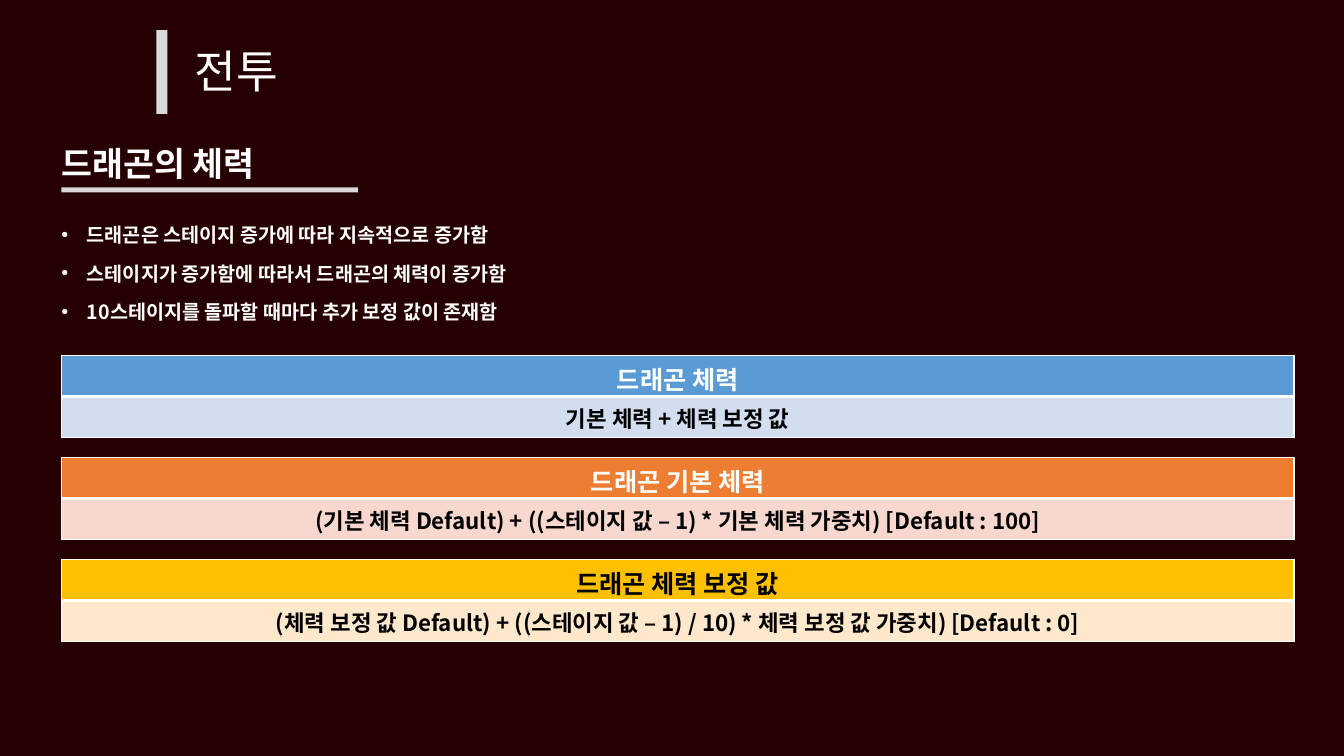
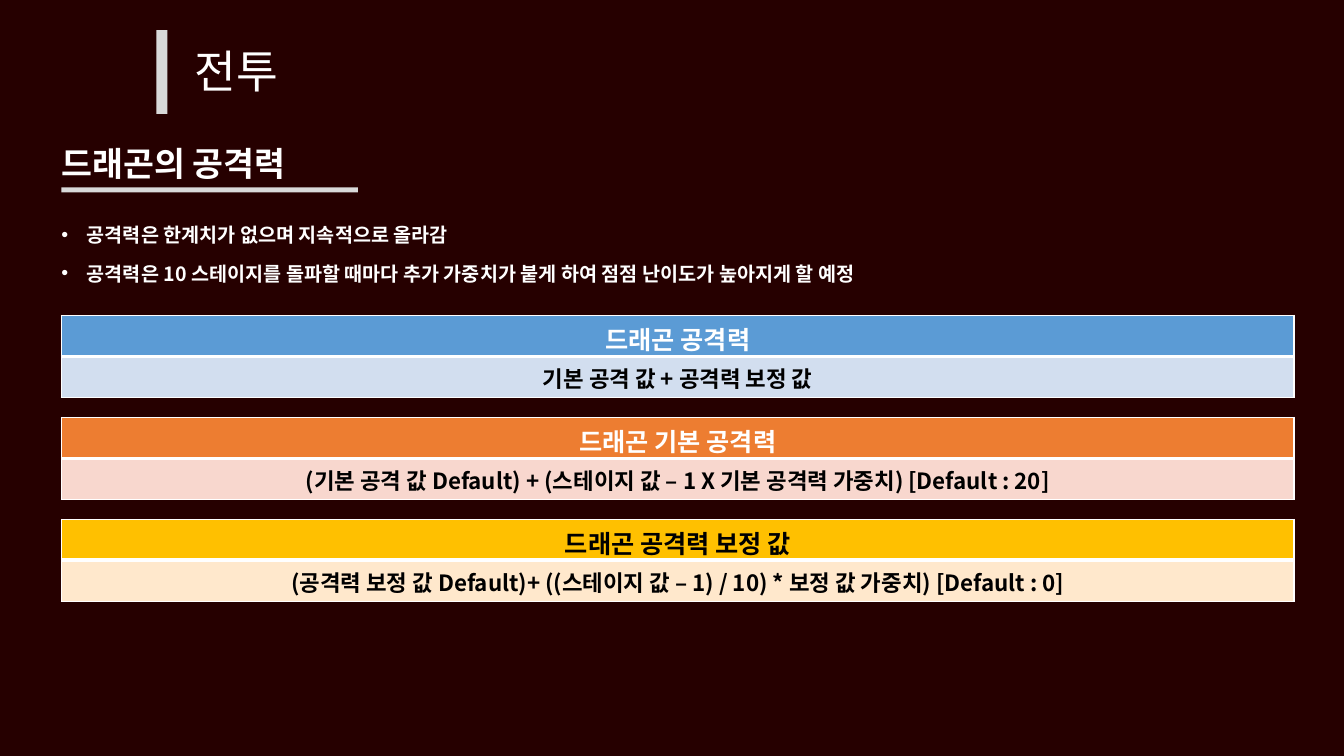
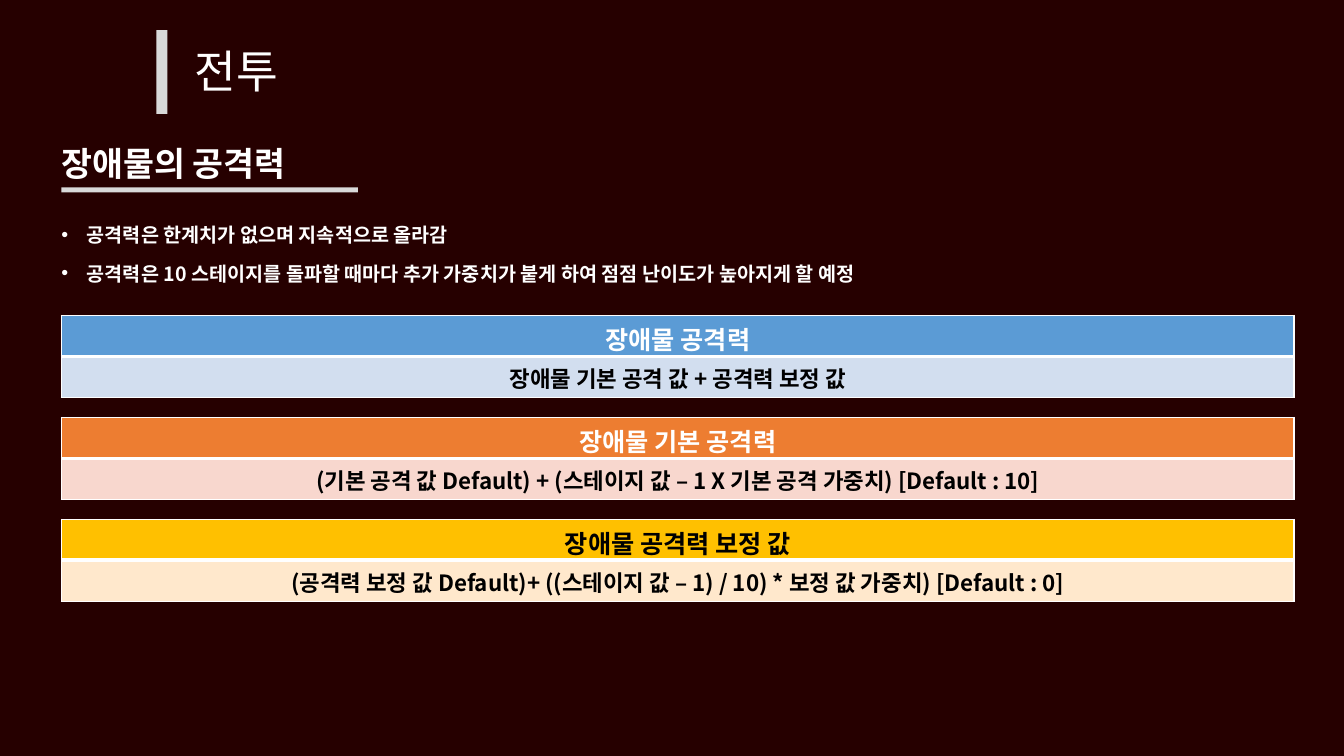
"""Build three slides on the combat formulas of a game."""
from lxml import etree
from pptx import Presentation
from pptx import util as u
from pptx.dml.color import RGBColor
from pptx.enum import shapes, text
from pptx.oxml.ns import qn

COLORS = {
    "background": "260000", "accent": "D9D9D9", "white": "FFFFFF", "black": "000000",
    "blue": "5B9BD5", "blue_tint": "D2DEEF",
    "orange": "ED7D31", "orange_tint": "F8D7CE",
    "gold": "FFC000", "gold_tint": "FFE8CC",
}
FORMULA_STYLES = [("blue", "white"), ("orange", "white"), ("gold", "black")]
FONT = "Noto Sans CJK KR"
LEFT, WIDTH = 1.55, 31.06
FORMULA_STEP = 2.57
ROW_HEIGHT = 1.03


class Deck:
    def __init__(self):
        self.prs = Presentation()
        self.prs.slide_width, self.prs.slide_height = u.Cm(33.87), u.Cm(19.05)
        self.slide = None

    def color(self, name):
        return RGBColor.from_string(COLORS[name])

    def paint(self, fill, name):
        fill.solid()
        fill.fore_color.rgb = self.color(name)

    def add_slide(self, title, heading):
        self.slide = self.prs.slides.add_slide(self.prs.slide_layouts[6])
        self.paint(self.slide.background.fill, "background")
        self.bar(3.94, 0.76, 0.28, 2.11)
        self.bar(LEFT, 4.72, 7.47, 0.13)
        self.line(title, 4.65, 1.09, 10.87, 1.55, 32.4, False, text.MSO_ANCHOR.MIDDLE)
        self.line(heading, 1.3, 3.58, 14.43, 1.27, 24, True, text.MSO_ANCHOR.TOP)

    def bar(self, left, top, width, height):
        bar = self.slide.shapes.add_shape(
            shapes.MSO_SHAPE.RECTANGLE, *map(u.Cm, (left, top, width, height)))
        bar.shadow.inherit = False
        self.paint(bar.fill, "accent")
        bar.line.fill.background()

    def frame(self, left, top, width, height):
        frame = self.slide.shapes.add_textbox(
            *map(u.Cm, (left, top, width, height))).text_frame
        frame.word_wrap = True
        return frame

    def add_words(self, paragraph, words, size, bold=True, color="white"):
        run = paragraph.add_run()
        run.text = words
        run.font.name = FONT
        run.font.size = u.Pt(size)
        run.font.bold = bold
        run.font.color.rgb = self.color(color)
        latin = run.font._element.find(qn("a:latin"))
        east_asian = etree.Element(qn("a:ea"), typeface=FONT)
        latin.addnext(east_asian)

    def line(self, words, left, top, width, height, size, bold, anchor):
        frame = self.frame(left, top, width, height)
        frame.vertical_anchor = anchor
        paragraph = frame.paragraphs[0]
        paragraph.line_spacing = 0.9
        self.add_words(paragraph, words, size, bold)

    def bullets(self, points):
        frame = self.frame(1.3, 5.59, 31.34, 1.3 * len(points))
        for index, point in enumerate(points):
            paragraph = frame.add_paragraph() if index else frame.paragraphs[0]
            paragraph.line_spacing = 0.82
            if index:
                paragraph.space_before = u.Pt(14)
            props = paragraph._p.get_or_add_pPr()
            props.set("marL", str(u.Cm(0.64)))
            props.set("indent", str(-u.Cm(0.64)))
            etree.SubElement(props, qn("a:buFont"), typeface="Arial")
            etree.SubElement(props, qn("a:buChar"), char="•")
            self.add_words(paragraph, point, 14)

    def borders(self, cell, widths):
        props = cell._tc.get_or_add_tcPr()
        for index, (side, width) in enumerate(widths.items()):
            edge = etree.Element(qn("a:ln" + side), w=str(u.Pt(width)))
            fill = etree.SubElement(edge, qn("a:solidFill"))
            etree.SubElement(fill, qn("a:srgbClr"), val=COLORS["white"])
            props.insert(index, edge)

    def formula(self, top, name, expression, hue, name_color):
        table = self.slide.shapes.add_table(
            2, 1, *map(u.Cm, (LEFT, top, WIDTH, 2 * ROW_HEIGHT))).table
        table.horz_banding = False
        rows = [
            (name, 18, hue, name_color, {"L": 1, "R": 1, "T": 1, "B": 3}),
            (expression, 16, hue + "_tint", "black", {"L": 1, "R": 1, "T": 3, "B": 1}),
        ]
        for index, (words, size, fill, color, widths) in enumerate(rows):
            cell = table.cell(index, 0)
            self.paint(cell.fill, fill)
            self.borders(cell, widths)
            paragraph = cell.text_frame.paragraphs[0]
            paragraph.alignment = text.PP_ALIGN.CENTER
            self.add_words(paragraph, words, size, color=color)

    def formulas(self, top, entries):
        for index, (entry, style) in enumerate(zip(entries, FORMULA_STYLES)):
            self.formula(top + index * FORMULA_STEP, *entry, *style)


ATTACK_POINTS = [
    "공격력은 한계치가 없으며 지속적으로 올라감",
    "공격력은 10 스테이지를 돌파할 때마다 추가 가중치가 붙게 하여 점점 난이도가 높아지게 할 예정",
]
ATTACK_CORRECTION = "(공격력 보정 값 Default)+ ((스테이지 값 – 1) / 10) * 보정 값 가중치) [Default : 0]"
SLIDES = [
    ("드래곤의 체력", [
        "드래곤은 스테이지 증가에 따라 지속적으로 증가함",
        "스테이지가 증가함에 따라서 드래곤의 체력이 증가함",
        "10스테이지를 돌파할 때마다 추가 보정 값이 존재함",
    ], 8.96, [
        ("드래곤 체력", "기본 체력 + 체력 보정 값"),
        ("드래곤 기본 체력",
         "(기본 체력 Default) + ((스테이지 값 – 1) * 기본 체력 가중치) [Default : 100]"),
        ("드래곤 체력 보정 값",
         "(체력 보정 값 Default) + ((스테이지 값 – 1) / 10) * 체력 보정 값 가중치) [Default : 0]"),
    ]),
    ("드래곤의 공격력", ATTACK_POINTS, 7.95, [
        ("드래곤 공격력", "기본 공격 값 + 공격력 보정 값"),
        ("드래곤 기본 공격력",
         "(기본 공격 값 Default) + (스테이지 값 – 1 X 기본 공격력 가중치) [Default : 20]"),
        ("드래곤 공격력 보정 값", ATTACK_CORRECTION),
    ]),
    ("장애물의 공격력", ATTACK_POINTS, 7.95, [
        ("장애물 공격력", "장애물 기본 공격 값 + 공격력 보정 값"),
        ("장애물 기본 공격력",
         "(기본 공격 값 Default) + (스테이지 값 – 1 X 기본 공격 가중치) [Default : 10]"),
        ("장애물 공격력 보정 값", ATTACK_CORRECTION),
    ]),
]


def main():
    deck = Deck()
    for heading, points, formulas_top, entries in SLIDES:
        deck.add_slide("전투", heading)
        deck.bullets(points)
        deck.formulas(formulas_top, entries)
    deck.prs.save("out.pptx")


if __name__ == "__main__":
    main()
